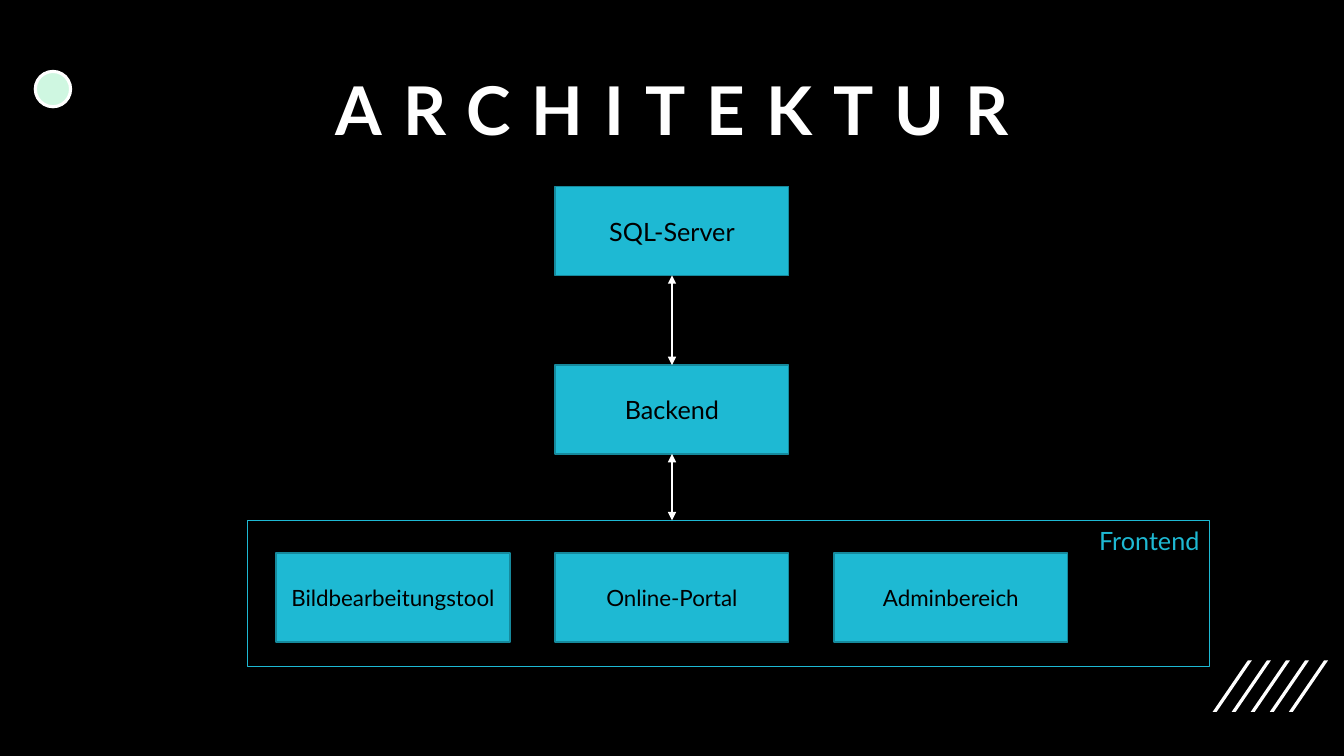
from lxml import etree
from pptx import Presentation
from pptx.dml.color import RGBColor
from pptx.enum.shapes import MSO_CONNECTOR, MSO_SHAPE
from pptx.enum.text import MSO_ANCHOR, MSO_AUTO_SIZE, PP_ALIGN
from pptx.oxml.ns import qn
from pptx.util import Cm, Pt

RECT, OVAL = MSO_SHAPE.RECTANGLE, MSO_SHAPE.OVAL
STRAIGHT = MSO_CONNECTOR.STRAIGHT
TOP, MIDDLE = MSO_ANCHOR.TOP, MSO_ANCHOR.MIDDLE
CENTER, RIGHT = PP_ALIGN.CENTER, PP_ALIGN.RIGHT
NO_AUTOFIT = MSO_AUTO_SIZE.NONE

BLACK = RGBColor(0x00, 0x00, 0x00)
WHITE = RGBColor(0xFF, 0xFF, 0xFF)
CYAN = RGBColor(0x1E, 0xB9, 0xD3)
DARK_CYAN = RGBColor(0x16, 0x89, 0x9C)
MINT = RGBColor(0xCF, 0xF7, 0xE1)

BOX_W, BOX_H = 5.89, 2.24
BOX_X, BOX_PITCH = 13.99, 7.03
SERVER_Y, BACKEND_Y, TOOLS_Y = 4.7, 9.2, 13.94
FRAME_X, FRAME_Y, FRAME_W, FRAME_H = 6.25, 13.11, 24.23, 3.68


class Deck:
    """Holds the style and the current slide; lengths are centimetres."""

    font = "Lato"

    def __init__(self, prs):
        self.slide = prs.slides.add_slide(prs.slide_layouts[5])
        fill = self.slide.background.fill
        fill.solid()
        fill.fore_color.rgb = BLACK

    def label(self, sp, text, size, color, align=CENTER, anchor=MIDDLE):
        tf = sp.text_frame
        tf.text = text
        tf.word_wrap = True
        tf.auto_size = NO_AUTOFIT
        tf.vertical_anchor = anchor
        p = tf.paragraphs[0]
        p.alignment = align
        p.font.name, p.font.size = self.font, Pt(size)
        p.font.color.rgb = color
        return p

    def title(self, text, x, y, w, h):
        sp = self.slide.shapes.title
        sp.left, sp.top, sp.width, sp.height = Cm(x), Cm(y), Cm(w), Cm(h)
        p = self.label(sp, text, 48, WHITE)
        p.font.bold = True
        p.line_spacing = 0.9
        p.runs[0].font._element.set("spc", "1500")  # letter spacing

    def shape(self, kind, x, y, w, h, fill, line, weight):
        sp = self.slide.shapes.add_shape(kind, Cm(x), Cm(y), Cm(w), Cm(h))
        sp.shadow.inherit = False
        if fill is None:
            sp.fill.background()
        else:
            sp.fill.solid()
            sp.fill.fore_color.rgb = fill
        sp.line.color.rgb = line
        sp.line.width = Pt(weight)
        return sp

    def box(self, text, x, y, size):
        sp = self.shape(RECT, x, y, BOX_W, BOX_H, CYAN, DARK_CYAN, 1)
        self.label(sp, text, size, BLACK)
        return sp

    def stripe(self, x, y, w, h, thickness):
        points = [(x, y + h), (x + w - thickness, y), (x + w, y)]
        builder = self.slide.shapes.build_freeform(Cm(x + thickness), Cm(y + h))
        builder.add_line_segments([(Cm(px), Cm(py)) for px, py in points])
        sp = builder.convert_to_shape()
        sp.shadow.inherit = False
        sp.fill.solid()
        sp.fill.fore_color.rgb = WHITE
        sp.line.fill.background()

    def arrow(self, upper, x, y1, y2, lower=None):
        line = self.slide.shapes.add_connector(STRAIGHT, Cm(x), Cm(y1), Cm(x), Cm(y2))
        line.begin_connect(upper, 2)
        if lower is not None:
            line.end_connect(lower, 0)
        line.line.color.rgb = WHITE
        line.line.width = Pt(1.5)
        ln = line._element.spPr.find(qn("a:ln"))
        for end in ("a:headEnd", "a:tailEnd"):
            etree.SubElement(ln, qn(end), type="triangle")
        etree.SubElement(line._element.spPr, qn("a:effectLst"))


def main():
    prs = Presentation()
    prs.slide_width, prs.slide_height = Cm(33.87), Cm(19.05)
    deck = Deck(prs)

    # Decoration
    for i in range(5):
        deck.stripe(30.56 + i * 0.48, 16.64, 0.99, 1.3, 0.1)
    deck.shape(OVAL, 0.89, 1.8, 0.89, 0.89, MINT, WHITE, 2.25)

    deck.title("ARCHITEKTUR", 2.34, 1.02, 29.21, 3.68)

    # Server side
    server = deck.box("SQL-Server", BOX_X, SERVER_Y, 18)
    backend = deck.box("Backend", BOX_X, BACKEND_Y, 18)

    # Frontend applications and their frame
    for i, name in enumerate(["Bildbearbeitungstool", "Online-Portal", "Adminbereich"]):
        deck.box(name, BOX_X + (i - 1) * BOX_PITCH, TOOLS_Y, 16)
    frame = deck.shape(RECT, FRAME_X, FRAME_Y, FRAME_W, FRAME_H, None, CYAN, 0.75)
    deck.label(frame, "Frontend", 18, CYAN, RIGHT, TOP)

    # Links between the layers
    mid_x = BOX_X + BOX_W / 2
    deck.arrow(server, mid_x, SERVER_Y + BOX_H, BACKEND_Y, backend)
    deck.arrow(backend, mid_x, BACKEND_Y + BOX_H, FRAME_Y)

    prs.save("out.pptx")


if __name__ == "__main__":
    main()
